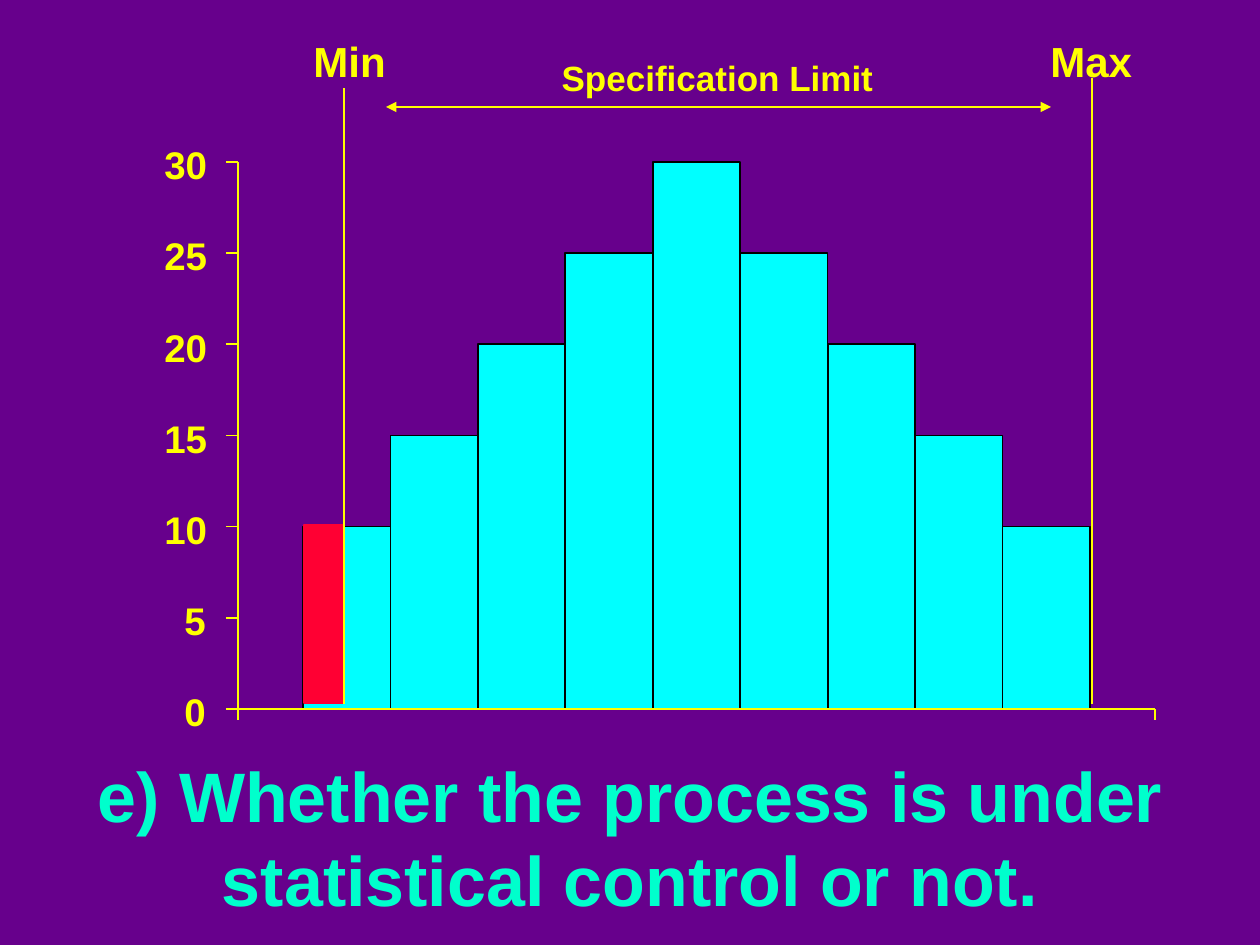
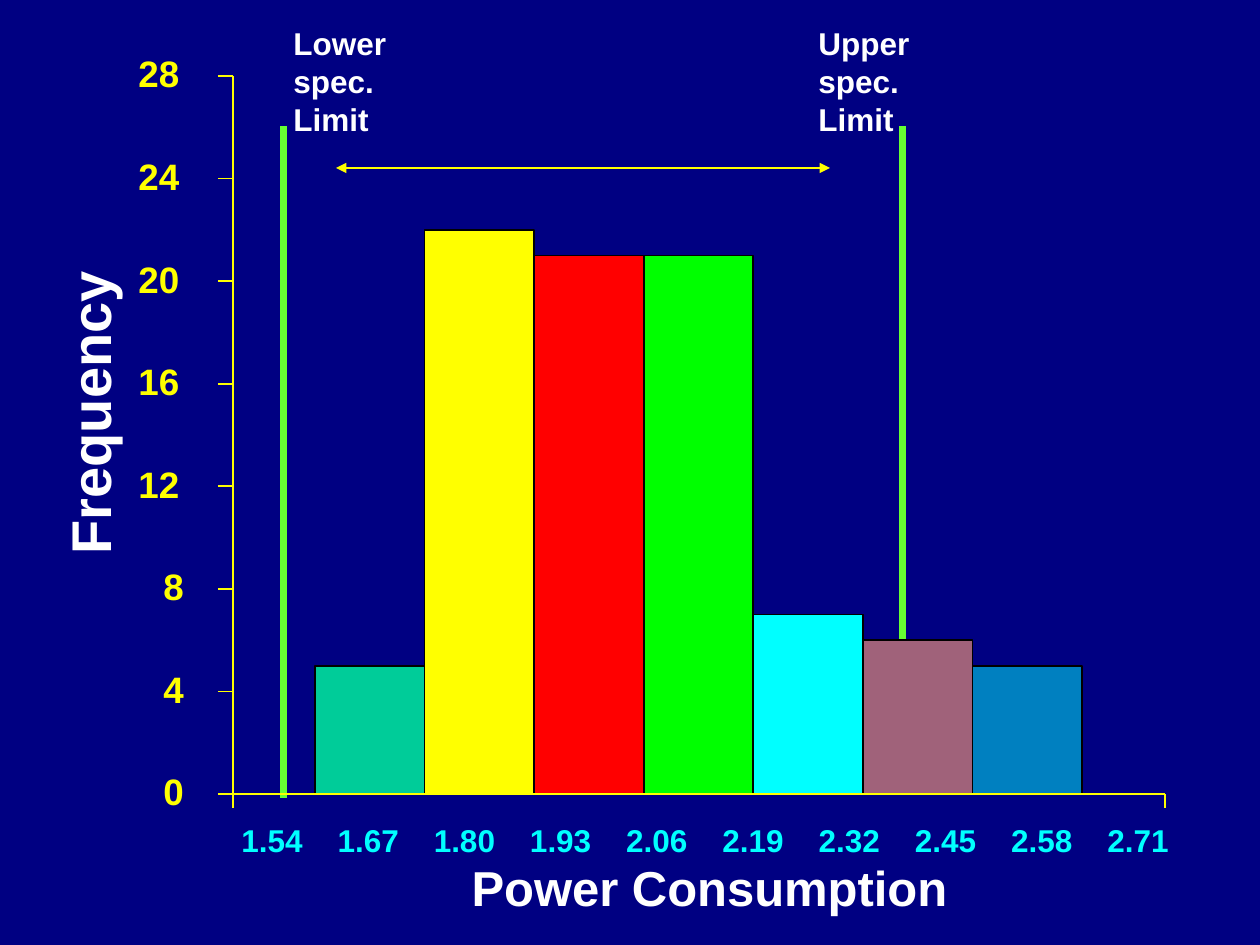
from pptx import Presentation
from pptx.dml.color import RGBColor
from pptx.enum.shapes import MSO_CONNECTOR, MSO_SHAPE
from pptx.enum.text import PP_ALIGN
from pptx.oxml.ns import qn
from pptx.util import Pt
from lxml import etree

STRAIGHT = MSO_CONNECTOR.STRAIGHT
RECT = MSO_SHAPE.RECTANGLE
LEFT, MID = PP_ALIGN.LEFT, PP_ALIGN.CENTER
PX = 914400 / 126
FONT = "Arial"
HEX = {
    "purple": "67008C", "navy": "000082", "mint": "00FFCC", "yellow": "FFFF00",
    "cyan": "00FFFF", "black": "000000", "white": "FFFFFF", "lime": "66FF33",
    "crimson": "FF0033", "teal": "00CC99", "red": "FF0000", "green": "00FF00",
    "mauve": "A0627A", "blue": "0080C0",
}
RGB = {name: RGBColor.from_string(code) for name, code in HEX.items()}


def line(slide, x1, y1, x2, y2, color="yellow", width=1, heads=False):
    rule = slide.shapes.add_connector(
        STRAIGHT, *[round(v * PX) for v in (x1, y1, x2, y2)])
    rule.line.color.rgb = RGB[color]
    rule.line.width = Pt(width)
    props = rule._element.spPr
    if heads:
        for end in ("a:headEnd", "a:tailEnd"):
            etree.SubElement(props.find(qn("a:ln")), qn(end), type="triangle")
    etree.SubElement(props, qn("a:effectLst"))


def write(slide, text, x, y, w, h, size, color, align=LEFT, wrap=False, tabs=()):
    box = slide.shapes.add_textbox(*[round(v * PX) for v in (x, y, w, h)])
    frame = box.text_frame
    frame.word_wrap = wrap
    frame.text = text
    for para in frame.paragraphs:
        para.alignment = align
        if tabs:
            stops = etree.SubElement(para._p.get_or_add_pPr(), qn("a:tabLst"))
            for tab in tabs:
                etree.SubElement(stops, qn("a:tab"), pos=str(round(tab * PX)), algn="l")
        for run in para.runs:
            run.font.name = FONT
            run.font.size = Pt(size)
            run.font.bold = True
            run.font.color.rgb = RGB[color]
    return box


deck = Presentation()
deck.slide_width = round(1260 * PX)
deck.slide_height = round(945 * PX)
limit, power = [deck.slides.add_slide(deck.slide_layouts[6]) for _ in range(2)]

for slide, shade in ((limit, "purple"), (power, "navy")):
    fill = slide.background.fill
    fill.solid()
    fill.fore_color.rgb = RGB[shade]

line(power, 284, 126, 284, 798, "lime", 4)
line(power, 903, 126, 903, 735, "lime", 4)
line(power, 336, 168, 830, 168, heads=True)

plots = [
    {"slide": limit, "axis": (238, 1155), "span": (162, 709), "bars": (303, 1090),
     "vals": (10, 15, 20, 25, 30, 25, 20, 15, 10), "fills": ["cyan"] * 9,
     "max": 30, "step": 5, "tick": 12, "foot": 11,
     "size": 22, "rise": 27, "cols": (172, 152)},
    {"slide": power, "axis": (233, 1165), "span": (76, 794), "bars": (315, 1082),
     "vals": (5, 22, 21, 21, 7, 6, 5),
     "fills": ["teal", "yellow", "red", "green", "cyan", "mauve", "blue"],
     "max": 28, "step": 4, "tick": 15, "foot": 14,
     "size": 21, "rise": 31, "cols": (151, 126)},
]
for plot in plots:
    slide = plot["slide"]
    west, east = plot["axis"]
    top, base = plot["span"]
    start, stop = plot["bars"]
    unit = (base - top) / plot["max"]
    wide = (stop - start) / len(plot["vals"])
    for i, (val, color) in enumerate(zip(plot["vals"], plot["fills"])):
        bar = slide.shapes.add_shape(
            RECT, *[round(v * PX) for v in
                    (start + i * wide, base - val * unit, wide, val * unit)])
        bar.shadow.inherit = False
        bar.fill.solid()
        bar.fill.fore_color.rgb = RGB[color]
        bar.line.color.rgb = RGB["black"]
        bar.line.width = Pt(1)
    line(slide, west, top, west, base)
    line(slide, west, base, east, base)
    for x in (west, east):
        line(slide, x, base + plot["foot"], x, base)
    for mark in range(0, plot["max"] + 1, plot["step"]):
        y = base - mark * unit
        line(slide, west - plot["tick"], y, west, y)
        two = mark > 9
        write(slide, str(mark), plot["cols"][two], y - plot["rise"],
              70 if two else 48, 58, plot["size"], "yellow")

reject = limit.shapes.add_shape(RECT, *[round(v * PX) for v in (304, 525, 40, 178)])
reject.shadow.inherit = False
reject.fill.solid()
reject.fill.fore_color.rgb = RGB["crimson"]
reject.line.color.rgb = RGB["crimson"]
reject.line.width = Pt(1)
line(limit, 344, 704, 344, 88)
line(limit, 1092, 704, 1092, 78)
line(limit, 386, 107, 1051, 107, heads=True)
write(limit, "Specification Limit", 384, 50, 667, 54, 20, "yellow", MID, True)
write(limit, "Min", 301, 29, 104, 63, 24, "yellow")
write(limit, "Max", 1038, 29, 112, 63, 24, "yellow")
write(limit, "e) Whether the process is under statistical control or not.",
      0, 746, 1260, 180, 40, "mint", MID, True)

scale = "\t".join(f"{1.54 + 0.13 * i:.2f}" for i in range(10))
write(power, scale, 229, 815, 960, 50, 18, "cyan",
      tabs=[i * 866 / 9 for i in range(1, 10)])
write(power, "Power Consumption", 242, 851, 935, 72, 28, "white", MID, True)
label = write(power, "Frequency", -66, 373, 309, 79, 32, "white")
label.rotation = 270
for side, x in (("Lower", 281), ("Upper", 806)):
    write(power, side + "\nspec.\nLimit", x, 18, 132, 126, 18, "white")

deck.save("out.pptx")
